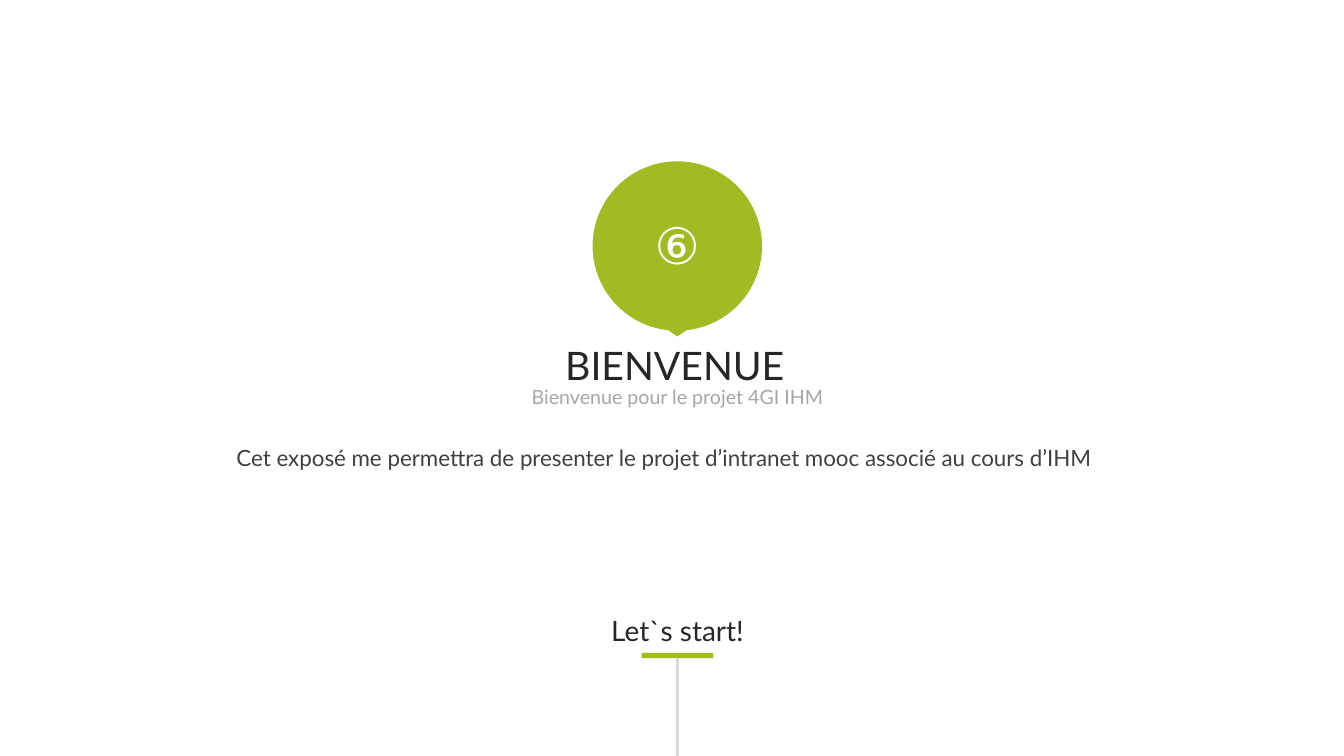
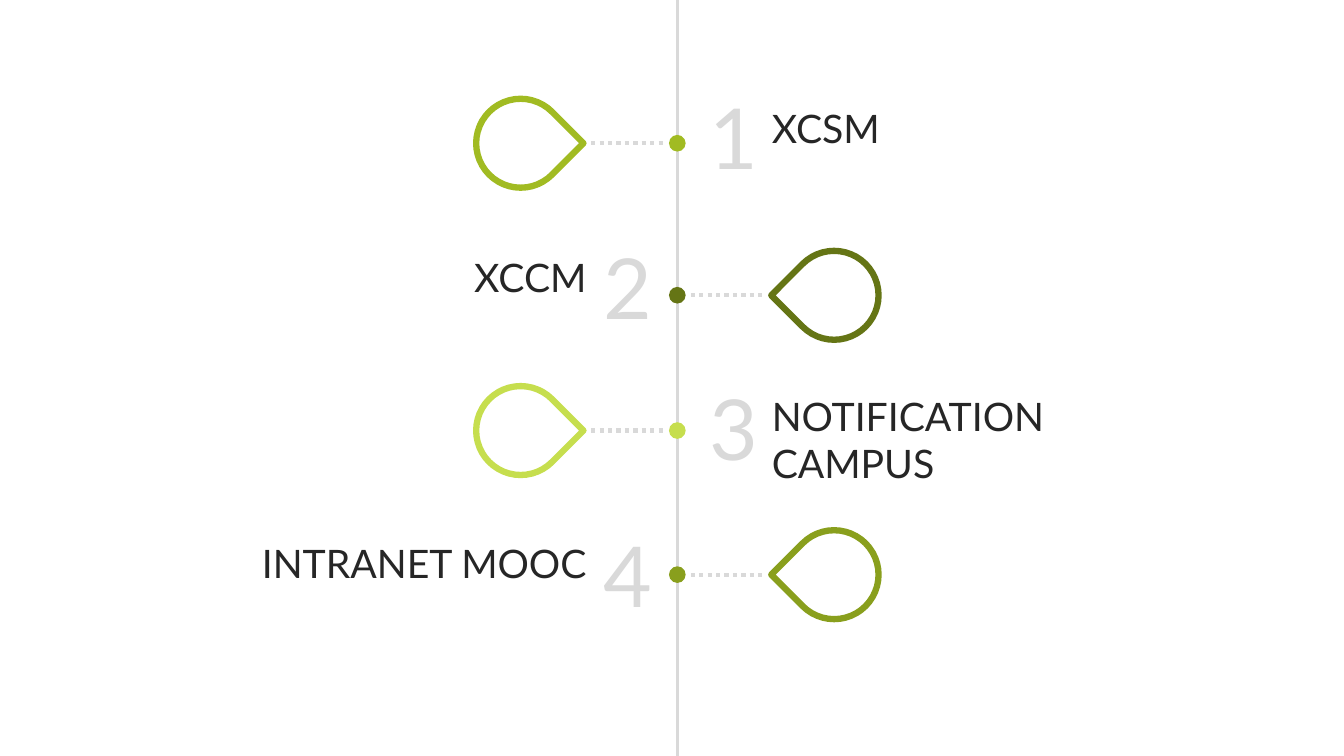
from lxml import etree
from pptx import Presentation
from pptx.dml.color import RGBColor
from pptx.enum import dml, shapes, text
from pptx.oxml.ns import qn
from pptx.util import Cm, Pt

# Palette
GREEN = RGBColor(0xA1, 0xBB, 0x22)
DARK = RGBColor(0x65, 0x75, 0x15)
LIME = RGBColor(0xC6, 0xDE, 0x4E)
OLIVE = RGBColor(0x89, 0x9F, 0x1D)
INK = RGBColor(0x26, 0x26, 0x26)
BODY = RGBColor(0x40, 0x40, 0x40)
MUTED = RGBColor(0xA6, 0xA6, 0xA6)
RULE = RGBColor(0xD9, 0xD9, 0xD9)
WHITE = RGBColor(0xFF, 0xFF, 0xFF)

# Shared measures, in centimetres
WIDE, HIGH = 33.87, 19.05
AXIS = 17.07
LABEL = 10.69

KIND = shapes.MSO_SHAPE
LEFT, MID, RIGHT = (text.PP_ALIGN.LEFT, text.PP_ALIGN.CENTER,
                    text.PP_ALIGN.RIGHT)


class Deck:
    def __init__(self):
        self.prs = Presentation()
        self.prs.slide_width = Cm(WIDE)
        self.prs.slide_height = Cm(HIGH)
        self.slide = None

    def page(self, layout):
        self.slide = self.prs.slides.add_slide(self.prs.slide_layouts[layout])

    def style(self, box, words, size, color, align=MID, font="Lato",
              wrap=True):
        frame = box.text_frame
        frame.text = words
        frame.word_wrap = wrap
        frame.auto_size = text.MSO_AUTO_SIZE.SHAPE_TO_FIT_TEXT
        frame.vertical_anchor = text.MSO_ANCHOR.TOP
        for para in frame.paragraphs:
            para.alignment = align
            para.space_before = Pt(0)
            for run in para.runs:
                run.font.name = font
                run.font.size = Pt(size)
                run.font.color.rgb = color

    def label(self, x, y, w, h, *look, **more):
        box = self.slide.shapes.add_textbox(Cm(x), Cm(y), Cm(w), Cm(h))
        self.style(box, *look, **more)

    def holder(self, index, x, y, w, h, *look):
        box = self.slide.placeholders[index]
        box.left, box.top, box.width, box.height = Cm(x), Cm(y), Cm(w), Cm(h)
        self.style(box, *look)

    def shape(self, kind, x, y, w, h, color, host=None):
        """Filled shape centred on x, y."""
        part = (host or self.slide).shapes.add_shape(
            kind, Cm(x - w / 2), Cm(y - h / 2), Cm(w), Cm(h))
        part.shadow.inherit = False
        part.fill.solid()
        part.fill.fore_color.rgb = color
        part.line.fill.background()
        return part

    def drop(self, x, y, turn, color):
        part = self.shape(KIND.TEAR, x, y, 2.24, 2.24, color)
        part.fill.background()
        part.line.color.rgb = color
        part.line.width = Pt(4.5)
        part.rotation = turn

    def line(self, x1, y1, x2, y2, width=2.25, dash=None):
        rule = self.slide.shapes.add_connector(
            shapes.MSO_CONNECTOR.STRAIGHT, Cm(x1), Cm(y1), Cm(x2), Cm(y2))
        rule.line.color.rgb = RULE
        rule.line.width = Pt(width)
        if dash:
            rule.line.dash_style = dash
        etree.SubElement(rule._element.spPr, qn("a:effectLst"))


def welcome(deck):
    deck.page(0)
    # Balloon
    group = deck.slide.shapes.add_group_shape()
    deck.shape(KIND.OVAL, AXIS, 6.2, 4.27, 4.27, GREEN, group)
    deck.shape(KIND.DIAMOND, AXIS, 8.25, 0.66, 0.46, GREEN, group)
    deck.label(AXIS - 0.9, 5.28, 1.8, 1.8, "⑥", 36, WHITE,
               font="Arial", wrap=False)
    # Headings
    deck.holder(0, 11.66, 8.48, LABEL, 1.45, "BIENVENUE", 28, INK)
    deck.holder(1, 11.73, 9.58, LABEL, 0.86,
                "Bienvenue pour le projet 4GI IHM", 14, MUTED)
    deck.label(5.44, 11.07, 22.6, 0.94,
               "Cet exposé me permettra de presenter le projet d’intranet "
               "mooc associé au cours d’IHM", 16, BODY)
    # Start of the timeline
    deck.label(11.73, 15.34, LABEL, 1.12, "Let`s start!", 20, INK)
    deck.shape(KIND.RECTANGLE, AXIS, 16.52, 1.8, 0.13, GREEN)
    deck.line(AXIS, 16.59, AXIS, HIGH)


def timeline(deck):
    deck.page(6)
    deck.line(AXIS, 0, AXIS, HIGH)
    # Step: words, colour, centre, top of number, top of label
    steps = [("XCSM", GREEN, 3.61, 2.03, 2.51),
             ("XCCM", DARK, 7.44, 5.82, 6.27),
             ("NOTIFICATION CAMPUS", LIME, 10.85, 9.37, 9.75),
             ("INTRANET MOOC", OLIVE, 14.48, 13.06, 13.46)]
    for num, (words, color, y, top, head) in enumerate(steps, 1):
        # Odd steps hang their drop on the left, even ones on the right
        odd = num % 2 == 1
        side = -1 if odd else 1
        ends = sorted((AXIS + side * 0.34, AXIS + side * 2.17))
        deck.line(ends[0], y, ends[1], y, 3, dml.MSO_LINE.ROUND_DOT)
        deck.drop(AXIS + side * 3.95, y, 45 if odd else 225, color)
        deck.shape(KIND.OVAL, AXIS, y, 0.42, 0.42, color)
        deck.label(17.64 if odd else 14.96, top, 1.37, 2.82,
                   str(num), 60, RULE, LEFT)
        deck.label(19.2 if odd else 4.34, head, LABEL, 1.45,
                   words, 28, INK, LEFT if odd else RIGHT)


def main():
    deck = Deck()
    welcome(deck)
    timeline(deck)
    deck.prs.save("out.pptx")


if __name__ == "__main__":
    main()
